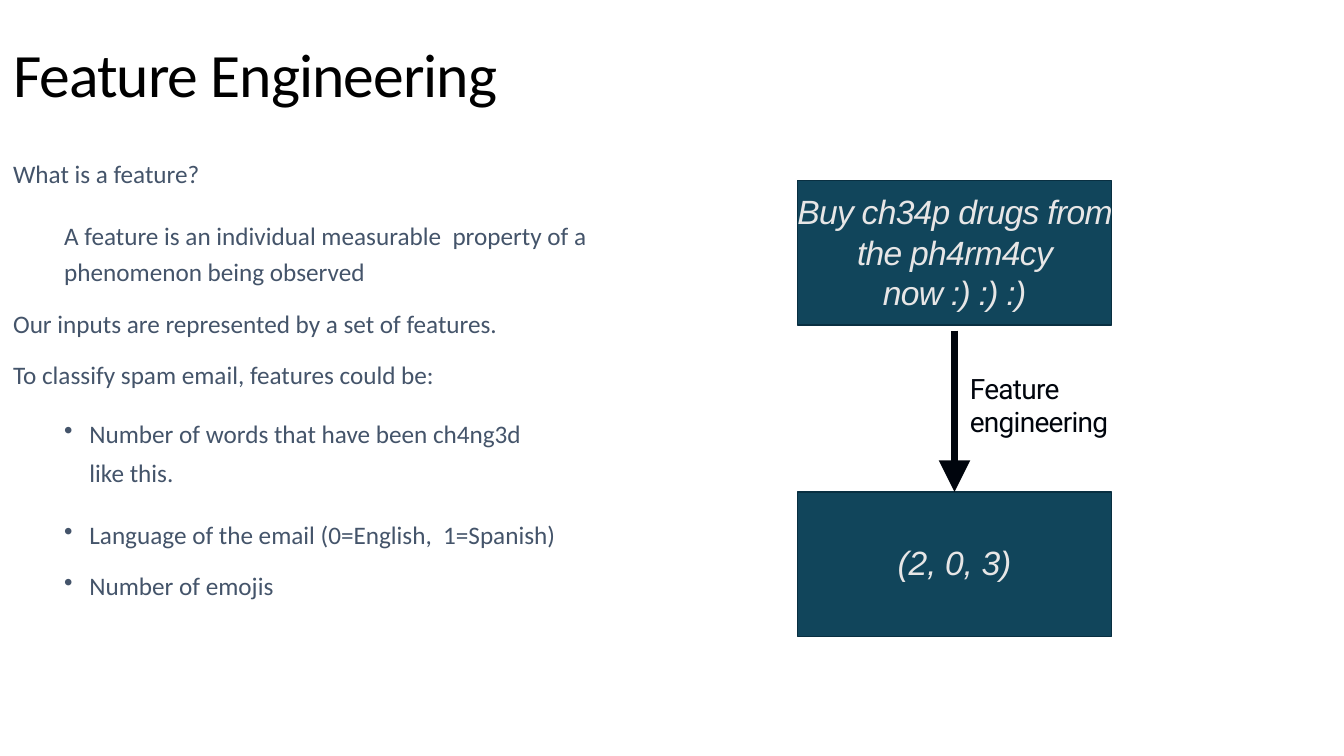
from dataclasses import dataclass

from lxml import etree
from pptx import Presentation
from pptx.dml.color import RGBColor
from pptx.enum import shapes, text
from pptx.oxml import ns
from pptx.util import Pt


@dataclass(frozen=True)
class Theme:
    black: str = "000000"
    ink: str = "00050D"
    slate: str = "44546A"
    teal: str = "11455B"
    edge: str = "092F41"
    pale: str = "E7E6E6"
    title: int = 44
    box: int = 24
    label: int = 20
    body: int = 18


T = Theme()
TITLE = dict(name="Calibri", size=Pt(T.title), color=T.black, spc=-70)
BODY = dict(name="Calibri", size=Pt(T.body), color=T.slate)
BOX = dict(name="Arial", size=Pt(T.box), color=T.pale, italic=True)
LABEL = dict(name="Roboto", size=Pt(T.label), color=T.ink, spc=-55)

TEXT_LEFT = 9.36
INDENT, BULLET_INDENT, HANG = 36.5, 54.5, 18
BOX_LEFT, BOX_W, BOX_H = 569.5, 224.6, 103.2
BOX_TOPS = 129, 351.4
ARROW_TOP, ARROW_W = 236.2, 4.5

POINTS = [
    ("What is a feature?", 0, False, {}),
    ("A feature is an individual measurable  property of a phenomenon being observed",
     INDENT, False, dict(space_before=Pt(18.4), line_spacing=Pt(25.9))),
    ("Our inputs are represented by a set of features.", 0, False,
     dict(space_before=Pt(15))),
    ("To classify spam email, features could be:", 0, False,
     dict(space_before=Pt(15))),
    ("Number of words that have been ch4ng3d\vlike this.", BULLET_INDENT, True,
     dict(space_before=Pt(15), line_spacing=Pt(27.4))),
    ("Language of the email (0=English,  1=Spanish)", BULLET_INDENT, True,
     dict(space_before=Pt(18.4), line_spacing=Pt(25.9))),
    ("Number of emojis", BULLET_INDENT, True, dict(space_before=Pt(15))),
]


def set_all(obj, values):
    for key, value in values.items():
        setattr(obj, key, value)


def format_run(r, style):
    for key, value in style.items():
        if key == "color":
            r.font.color.rgb = RGBColor.from_string(value)
        elif key == "spc":
            r._r.get_or_add_rPr().set("spc", str(value))
        else:
            setattr(r.font, key, value)


def write(p, words, style, **layout):
    p.text = words
    set_all(p, layout)
    for r in p.runs:
        format_run(r, style)


def indent(p, left, bullet):
    pPr = p._p.get_or_add_pPr()
    pPr.set("marL", str(Pt(left)))
    pPr.set("indent", str(Pt(-HANG) if bullet else 0))
    if bullet:
        etree.SubElement(pPr, ns.qn("a:buChar")).set("char", "•")


def frame(sp, top_inset=0, anchor=text.MSO_ANCHOR.TOP):
    tf = sp.text_frame
    set_all(tf, dict(word_wrap=True, vertical_anchor=anchor, margin_left=0,
                     margin_right=0, margin_bottom=0, margin_top=Pt(top_inset)))
    return tf


def text_box(s, left, top, width, height, top_inset=0, **options):
    sp = s.shapes.add_textbox(Pt(left), Pt(top), Pt(width), Pt(height))
    return frame(sp, top_inset, **options)


def add_points(s):
    tf = text_box(s, TEXT_LEFT, 97.2, 483, 334, 16)
    for i, (words, left, bullet, layout) in enumerate(POINTS):
        p = tf.add_paragraph() if i else tf.paragraphs[0]
        write(p, words, BODY, **layout)
        indent(p, left, bullet)


def add_box(s, top, words, top_inset, spc):
    sp = s.shapes.add_shape(shapes.MSO_SHAPE.RECTANGLE, Pt(BOX_LEFT), Pt(top),
                            Pt(BOX_W), Pt(BOX_H))
    sp.shadow.inherit = False
    sp.fill.solid()
    sp.fill.fore_color.rgb = RGBColor.from_string(T.teal)
    sp.line.color.rgb = RGBColor.from_string(T.edge)
    sp.line.width = Pt(0.96)
    write(frame(sp, top_inset).paragraphs[0], words, dict(BOX, spc=spc),
          alignment=text.PP_ALIGN.CENTER)
    return sp


def add_arrow(s, target):
    x = Pt(BOX_LEFT + BOX_W / 2)
    c = s.shapes.add_connector(shapes.MSO_CONNECTOR.STRAIGHT, x, Pt(ARROW_TOP),
                               x, target.top)
    c.end_connect(target, 0)
    c.line.color.rgb = RGBColor.from_string(T.ink)
    c.line.width = Pt(ARROW_W)
    tail = etree.SubElement(c.line._get_or_add_ln(), ns.qn("a:tailEnd"))
    for key, value in dict(type="triangle", w="lg", len="lg").items():
        tail.set(key, value)
    etree.SubElement(c._element.spPr, ns.qn("a:effectLst"))


def main():
    prs = Presentation()
    set_all(prs, dict(slide_width=Pt(960), slide_height=Pt(540)))
    s = prs.slides.add_slide(prs.slide_layouts[6])

    title = text_box(s, TEXT_LEFT, 24.5, 365, 54.7, 1,
                     anchor=text.MSO_ANCHOR.MIDDLE)
    write(title.paragraphs[0], "Feature Engineering", TITLE)
    add_points(s)

    add_box(s, BOX_TOPS[0], "Buy ch34p drugs from the ph4rm4cy now :) :) :)", 7.5, -50)
    vector = add_box(s, BOX_TOPS[1], "(2, 0, 3)", 36, -20)
    add_arrow(s, vector)

    label = text_box(s, 692.8, 264.2, 105, 50.4, 1)
    write(label.paragraphs[0], "Feature\vengineering", LABEL)

    prs.save("out.pptx")


if __name__ == "__main__":
    main()
